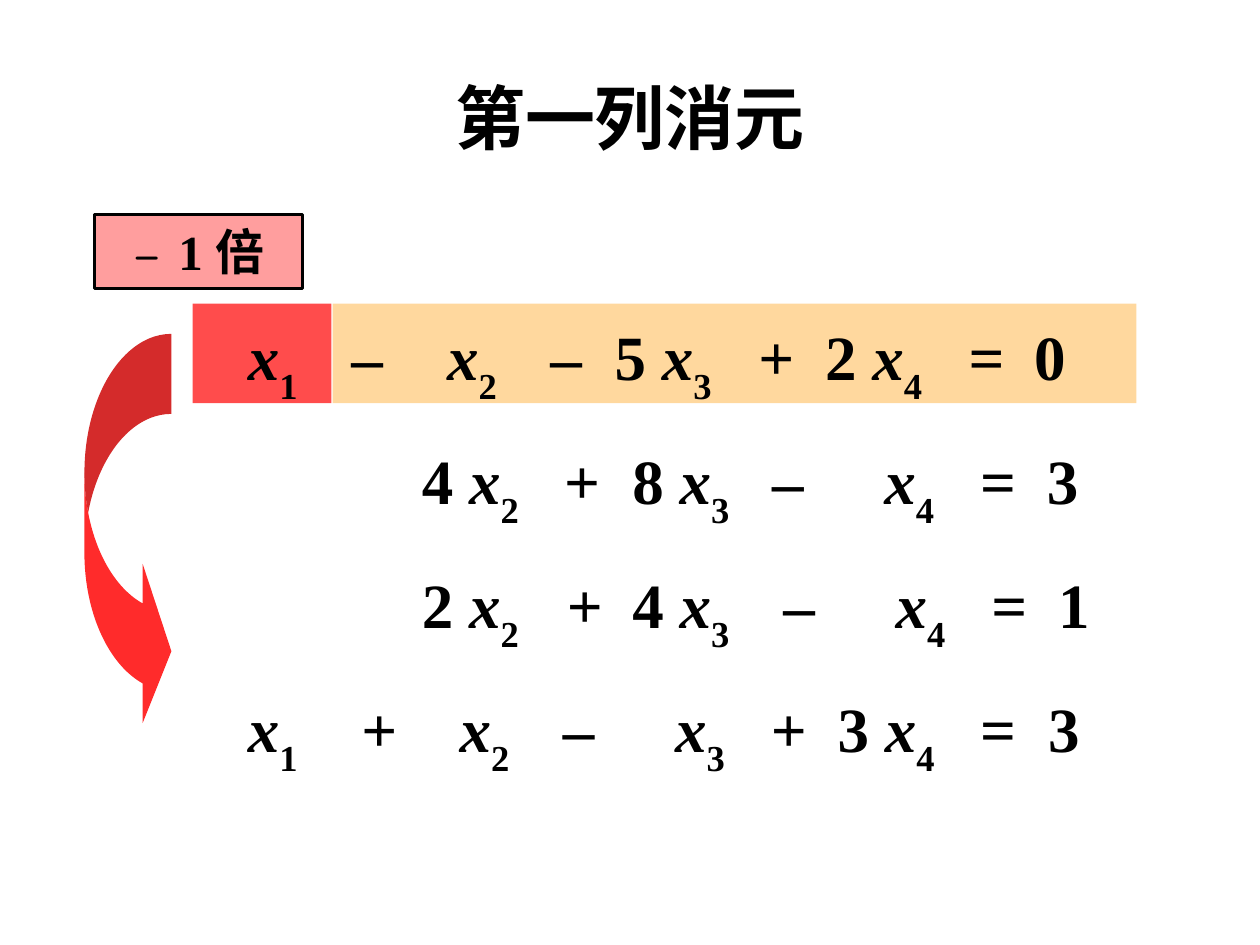
"""Build the slide on eliminating the first column of a linear system."""
from dataclasses import dataclass

import lxml.etree
import pptx
import pptx.dml.color
import pptx.enum.shapes
import pptx.enum.text
import pptx.oxml.ns
import pptx.util

Inches, Pt = pptx.util.Inches, pptx.util.Pt
Kind = pptx.enum.shapes.MSO_SHAPE
Align = pptx.enum.text.PP_ALIGN
Anchor = pptx.enum.text.MSO_ANCHOR
qn = pptx.oxml.ns.qn
SERIF = "Times New Roman"
LEFT, INSET = 0.5, 0.1


@dataclass
class Block:
    kind: Kind
    at: tuple[float, float, float, float]
    fill: str
    alpha: int


@dataclass
class Row:
    text: str
    stops: tuple[float, ...]


BANDS = [
    Block(Kind.RECTANGLE, (1.53, 2.41, 1.1, 0.79), "FF0000", 70),
    Block(Kind.RECTANGLE, (2.64, 2.41, 6.38, 0.79), "FF9900", 38),
]
LABEL = Block(Kind.RECTANGLE, (0.75, 1.7, 1.65, 0.59), "FF0000", 38)
ARROW = Block(Kind.CURVED_RIGHT_ARROW, (0.67, 2.65, 0.69, 3.15), "FF0000", 83)
ROWS = [
    Row("\tx1\t–\tx2\t–\t5 x3\t+\t2 x4\t=\t0",
        (1.97, 2.79, 3.55, 4.37, 4.88, 6.02, 6.55, 7.69, 8.21)),
    Row("\t4 x2\t+\t8 x3\t–\tx4\t=\t3",
        (3.35, 4.48, 5.02, 6.13, 7.02, 7.78, 8.31)),
    Row("\t2 x2\t+\t4 x3\t–\tx4\t=\t1",
        (3.35, 4.5, 5.02, 6.22, 7.11, 7.87, 8.4)),
    Row("\tx1\t+\tx2\t–\tx3\t+\t3 x4\t=\t3",
        (1.97, 2.87, 3.65, 4.47, 5.36, 6.12, 6.65, 7.78, 8.32)),
]


def color(code: str) -> pptx.dml.color.RGBColor:
    return pptx.dml.color.RGBColor.from_string(code)


def style(run, size: float, face: str = SERIF, bold: bool = True) -> None:
    run.font.size, run.font.name, run.font.bold = Pt(size), face, bold
    run.font.color.rgb = color("000000")


def draw(slide, block: Block):
    shape = slide.shapes.add_shape(block.kind, *map(Inches, block.at))
    shape.shadow.inherit = False
    shape.fill.solid()
    shape.fill.fore_color.rgb = color(block.fill)
    tone = shape.fill._xPr.find(".//" + qn("a:srgbClr"))
    lxml.etree.SubElement(tone, qn("a:alpha"), val=str(block.alpha * 1000))
    shape.line.fill.background()
    return shape


def write(para, row: Row) -> None:
    tabs = lxml.etree.SubElement(para._p.get_or_add_pPr(), qn("a:tabLst"))
    for stop in row.stops:
        place = Inches(stop - LEFT - INSET)
        lxml.etree.SubElement(tabs, qn("a:tab"), pos=str(place), algn="l")
    head, *terms = row.text.split("x")
    parts = [(head, False, 0)]
    for term in terms:
        parts += [("x", True, 0), (term[0], False, -30000), (term[1:], False, 0)]
    for text, slant, base in parts:
        run = para.add_run()
        run.text = text
        style(run, 36)
        run.font.italic = slant
        if base:
            run.font._element.set("baseline", str(base))


def main() -> None:
    deck = pptx.Presentation()
    deck.slide_width, deck.slide_height = Inches(10), Inches(7.5)
    slide = deck.slides.add_slide(deck.slide_layouts[5])

    title = slide.shapes.title
    title.left, title.top = Inches(LEFT), Inches(0.3)
    title.width, title.height = Inches(9), Inches(1.25)
    title.text_frame.text = "第一列消元"
    title.text_frame.vertical_anchor = Anchor.MIDDLE
    para = title.text_frame.paragraphs[0]
    para.alignment = Align.CENTER
    style(para.runs[0], 40)

    for band in BANDS:
        draw(slide, band)

    label = draw(slide, LABEL)
    label.line.color.rgb = color("000000")
    label.line.width = Pt(1.75)
    para = label.text_frame.paragraphs[0]
    para.alignment = Align.CENTER
    for text, face, bold in (("– ", "Comic Neue", False), ("1 倍", SERIF, True)):
        run = para.add_run()
        run.text = text
        style(run, 28, face, bold)

    arrow = draw(slide, ARROW)
    for spot, value in enumerate((0.92, 1.83, 0.33)):
        arrow.adjustments[spot] = value

    box = slide.shapes.add_textbox(*map(Inches, (LEFT, 2.33, 9, 4.37)))
    frame = box.text_frame
    frame.word_wrap = True
    frame.margin_left = Inches(INSET)
    for spot, row in enumerate(ROWS):
        para = frame.add_paragraph() if spot else frame.paragraphs[0]
        write(para, row)
        para.line_spacing = 1.2
        if spot:
            para.space_before = Pt(9.7)

    deck.save("out.pptx")


if __name__ == "__main__":
    main()
